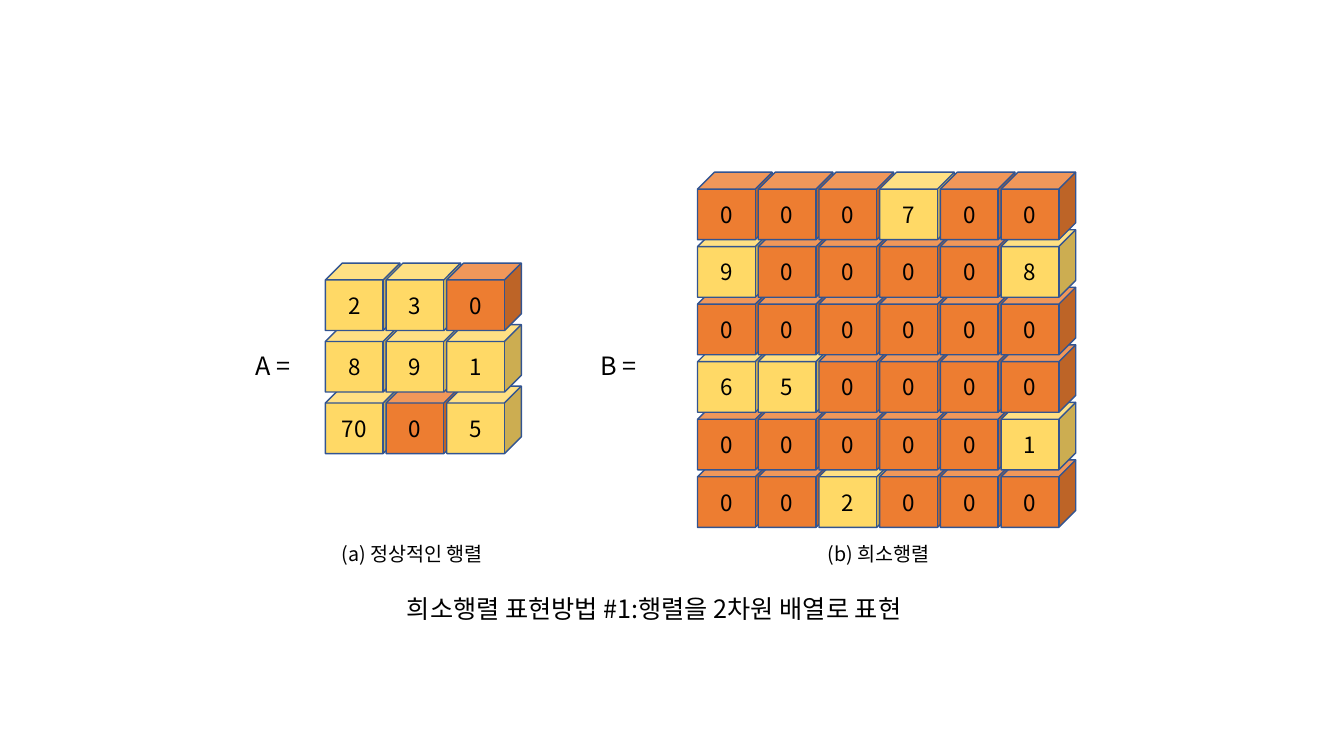
from pptx import Presentation
from pptx.dml.color import RGBColor
from pptx.enum import shapes, text
from pptx.util import Cm, Pt

FONT = "Noto Sans CJK KR"
BLACK = RGBColor(0x00, 0x00, 0x00)
ORANGE = RGBColor(0xED, 0x7D, 0x31)
YELLOW = RGBColor(0xFF, 0xD9, 0x66)
BLUE = RGBColor(0x32, 0x54, 0x91)

DENSE = [
    [2, 3, 0],
    [8, 9, 1],
    [70, 0, 5],
]
SPARSE = [
    [0, 0, 0, 7, 0, 0],
    [9, 0, 0, 0, 0, 8],
    [0, 0, 0, 0, 0, 0],
    [6, 5, 0, 0, 0, 0],
    [0, 0, 0, 0, 0, 1],
    [0, 0, 2, 0, 0, 0],
]
# values, left, top, row pitch (cm)
MATRICES = [
    (SPARSE, 17.58, 4.34, 1.45),
    (DENSE, 8.2, 6.63, 1.55),
]
# text, left, top, width, height (cm), size (pt)
LABELS = [
    ("A =", 5.56, 8.71, 2.64, 1.02, 18),
    ("B =", 13.92, 8.71, 3.35, 1.02, 18),
    ("(a) 정상적인 행렬", 7.75, 13.54, 5.28, 0.86, 14),
    ("(b) 희소행렬", 19.51, 13.54, 5.28, 0.86, 14),
    ("희소행렬 표현방법 #1:행렬을 2차원 배열로 표현", 6.58, 14.83, 19.81, 1.02, 18),
]
CUBE_W, CUBE_H = 1.88, 1.7
COLUMN_PITCH = 1.53


def write(shape, content, size):
    tf = shape.text_frame
    tf.word_wrap = True
    p = tf.paragraphs[0]
    p.text = content
    p.alignment = text.PP_ALIGN.CENTER
    p.font.name = FONT
    p.font.size = Pt(size)
    p.font.color.rgb = BLACK


def add_cube(s, value, left, top):
    cube = s.shapes.add_shape(shapes.MSO_SHAPE.CUBE, Cm(left), Cm(top),
                              Cm(CUBE_W), Cm(CUBE_H))
    cube.shadow.inherit = False
    cube.fill.solid()
    cube.fill.fore_color.rgb = YELLOW if value else ORANGE
    cube.line.color.rgb = BLUE
    cube.line.width = Pt(1)
    cube.text_frame.vertical_anchor = text.MSO_ANCHOR.MIDDLE
    write(cube, str(value), 16)


def add_matrix(s, values, left, top, row_pitch):
    """Stack the rows from the bottom up, so each one overlaps the row below."""
    for i, row in reversed(list(enumerate(values))):
        for j, value in enumerate(row):
            add_cube(s, value, left + j * COLUMN_PITCH, top + i * row_pitch)


def main():
    prs = Presentation()
    prs.slide_width, prs.slide_height = Cm(33.87), Cm(19.05)
    s = prs.slides.add_slide(prs.slide_layouts[6])
    for matrix in MATRICES:
        add_matrix(s, *matrix)
    for content, left, top, width, height, size in LABELS:
        box = s.shapes.add_textbox(Cm(left), Cm(top), Cm(width), Cm(height))
        write(box, content, size)
    prs.save("out.pptx")


if __name__ == "__main__":
    main()
